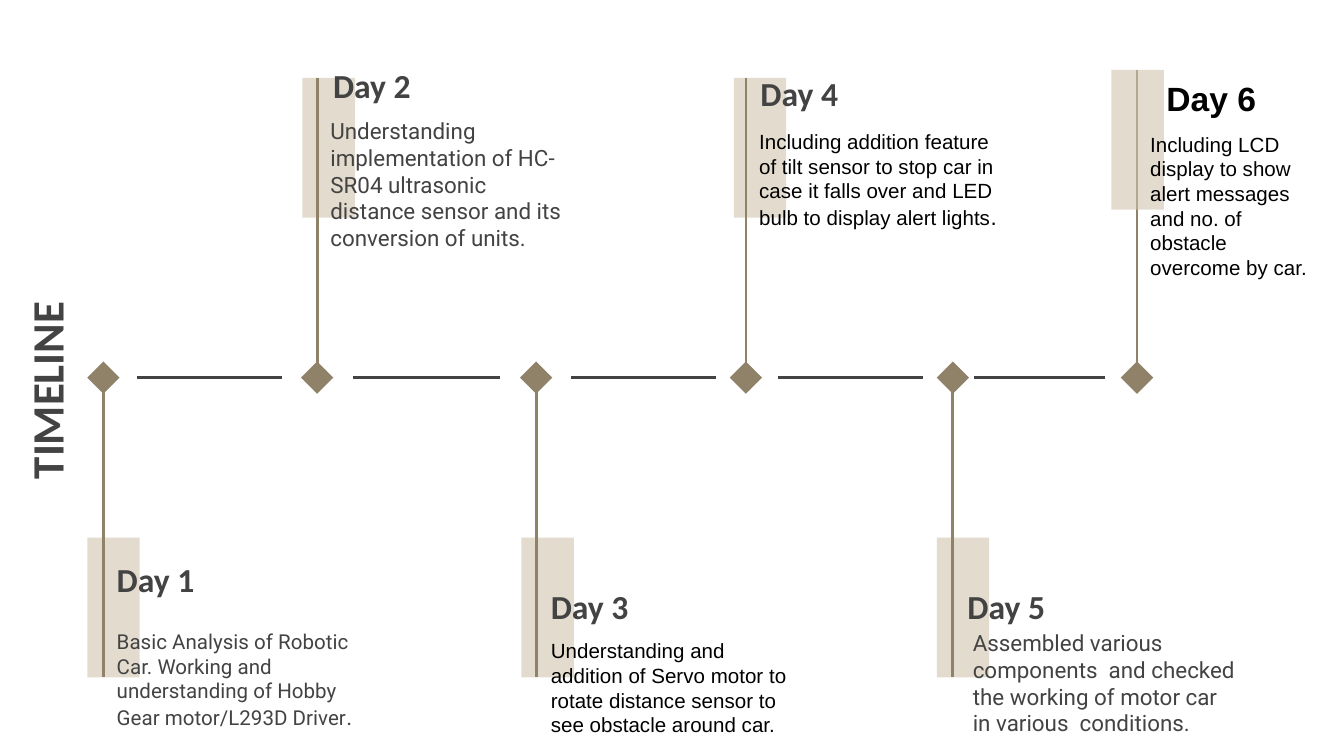
from lxml import etree
from pptx import Presentation
from pptx.dml.color import RGBColor
from pptx.enum.shapes import MSO_CONNECTOR, MSO_SHAPE
from pptx.enum.text import MSO_ANCHOR, PP_ALIGN
from pptx.oxml.ns import qn
from pptx.util import Inches, Pt

STRAIGHT = MSO_CONNECTOR.STRAIGHT
RECTANGLE, DIAMOND = MSO_SHAPE.RECTANGLE, MSO_SHAPE.DIAMOND
TOP, MIDDLE, LEFT = MSO_ANCHOR.TOP, MSO_ANCHOR.MIDDLE, PP_ALIGN.LEFT

COLORS = {"band": "CFC3AC", "stem": "908269", "grey": "434343", "black": "000000"}
TITLE = "TIMELINE"
DAYS = [
    {"name": "Day 1", "x": 0.77, "band": (0.65, 4), "heading": (0.77, 4.06, 1.24, 0.46),
     "body": (0.77, 4.58, 2.02, 1.04), "style": ("Roboto", 11, "grey"), "stop": ".",
     "text": "Basic Analysis of Robotic Car. Working and understanding of Hobby Gear motor/L293D Driver"},
    {"name": "Day 2", "x": 2.36, "band": (2.25, 0.58), "heading": (2.38, 0.38, 1.24, 0.49),
     "body": (2.36, 0.77, 2.02, 1.08), "style": ("Roboto", 12, "grey"),
     "text": "Understanding implementation of HC-SR04 ultrasonic distance sensor and its conversion of units."},
    {"name": "Day 3", "x": 3.99, "band": (3.88, 4), "heading": (4, 4.26, 1.24, 0.46),
     "body": (4, 4.65, 2.02, 0.78), "style": ("Arial", 11, "black"),
     "text": "Understanding and addition of Servo motor to rotate distance sensor to see obstacle around car."},
    {"name": "Day 4", "x": 5.55, "band": (5.46, 0.58), "heading": (5.56, 0.44, 1.24, 0.49),
     "body": (5.55, 0.86, 2.02, 0.87), "style": ("Arial", 11, "black"), "stop": ".",
     "text": "Including addition feature of tilt sensor to stop car in case it falls over and LED bulb to display alert lights"},
    {"name": "Day 5", "x": 7.09, "band": (6.97, 4), "heading": (7.1, 4.26, 1.24, 0.46),
     "body": (7.14, 4.58, 2.17, 1.04), "style": ("Roboto", 12, "grey"),
     "text": "Assembled various components  and checked the working of motor car in various  conditions."},
    {"name": "Day 6", "x": 8.46, "band": (8.27, 0.52), "heading": (8.58, 0.53, 0.98, 0.4),
     "body": (8.46, 0.93, 1.47, 1.21), "style": ("Arial", 11, "black"),
     "heading_style": ("Arial", 18, "black"), "inset": 0.05, "band_over_stem": True,
     "text": "Including LCD display to show alert messages and no. of obstacle overcome by car."},
]
LINKS = [(1.02, 2.1), (2.63, 3.72), (4.25, 5.33), (5.79, 6.87), (7.25, 8.22)]
HEADING_STYLE = ("Calibri", 18, "grey")
AXIS_Y, DIAMOND_SIZE = 2.81, 0.24
BAND_WIDTH, BAND_HEIGHT = 0.39, 1.04


def color(name):
    return RGBColor.from_string(COLORS[name])


def add_line(page, x1, y1, x2, y2, name):
    line = page.shapes.add_connector(STRAIGHT, *map(Inches, (x1, y1, x2, y2)))
    line.line.color.rgb = color(name)
    line.line.width = Pt(1.5)
    etree.SubElement(line._element.spPr, qn("a:effectLst"))


def add_solid(page, kind, area, name, alpha=None):
    shape = page.shapes.add_shape(kind, *map(Inches, area))
    shape.shadow.inherit = False
    shape.fill.solid()
    shape.fill.fore_color.rgb = color(name)
    shape.line.fill.background()
    if alpha:
        tint = shape._element.spPr.find(qn("a:solidFill"))[0]
        etree.SubElement(tint, qn("a:alpha"), val=str(alpha * 1000))


def format_span(span, style, bold=False):
    span.font.name, size, name = style
    span.font.size = Pt(size)
    span.font.color.rgb = color(name)
    span.font.bold = bold


def set_text(box, text, style, bold=False, inset=0.1, anchor=TOP):
    frame = box.text_frame
    frame.word_wrap = True
    frame.vertical_anchor = anchor
    frame.margin_left = frame.margin_right = Inches(0.1)
    frame.margin_top = frame.margin_bottom = Inches(inset)
    frame.text = text
    para = frame.paragraphs[0]
    para.alignment = LEFT
    format_span(para.runs[0], style, bold)
    return para


def add_text(page, area, *args, **options):
    return set_text(page.shapes.add_textbox(*map(Inches, area)), *args, **options)


def add_marker(page, day):
    left, top = day["band"]
    end = top if top < AXIS_Y else top + BAND_HEIGHT
    band = (RECTANGLE, (left, top, BAND_WIDTH, BAND_HEIGHT), "band", 58)
    if not day.get("band_over_stem"):
        add_solid(page, *band)
    add_line(page, day["x"], AXIS_Y, day["x"], end, "stem")
    if day.get("band_over_stem"):
        add_solid(page, *band)
    half = DIAMOND_SIZE / 2
    add_solid(page, DIAMOND, (day["x"] - half, AXIS_Y - half, DIAMOND_SIZE, DIAMOND_SIZE), "stem")


def add_words(page, day):
    inset = day.get("inset", 0.1)
    add_text(page, day["heading"], day["name"], day.get("heading_style", HEADING_STYLE),
             bold=True, inset=inset)
    para = add_text(page, day["body"], day["text"], day["style"], inset=inset)
    if "stop" in day:
        span = para.add_run()
        span.text = day["stop"]
        font, _, name = day["style"]
        format_span(span, (font, 12, name))


def main():
    deck = Presentation()
    deck.slide_width = Inches(10)
    deck.slide_height = deck.slide_width * 9 // 16
    page = deck.slides.add_slide(deck.slide_layouts[5])
    title = page.shapes.title
    title.left, title.top, title.width, title.height = map(Inches, (-1.46, 1.58, 3.6, 0.57))
    title.rotation = 270
    set_text(title, TITLE, ("Calibri", 24, "grey"), bold=True, anchor=MIDDLE)
    for start, end in LINKS:
        add_line(page, start, AXIS_Y, end, AXIS_Y, "grey")
    for day in DAYS:
        add_marker(page, day)
        add_words(page, day)
    deck.save("out.pptx")


if __name__ == "__main__":
    main()
